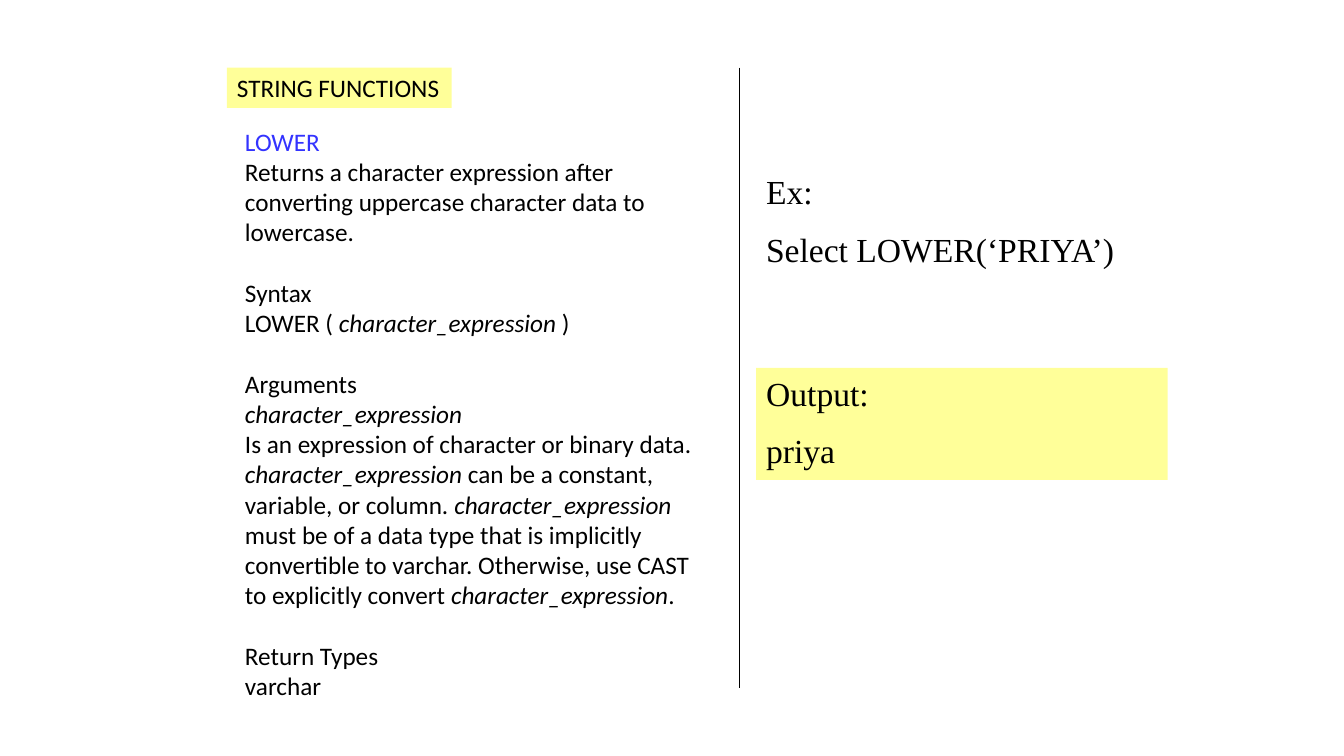
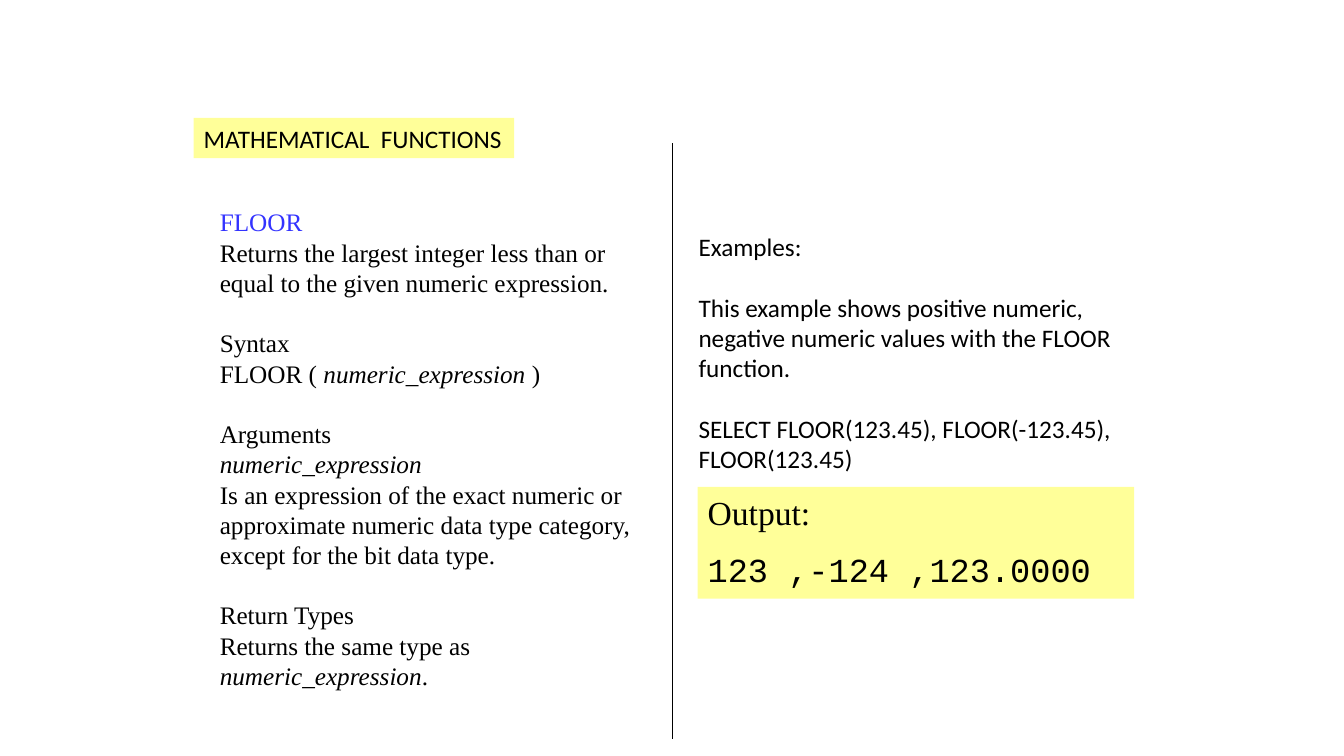
from dataclasses import dataclass

from lxml import etree
from pptx import Presentation
from pptx.dml.color import RGBColor
from pptx.enum.shapes import MSO_CONNECTOR, MSO_SHAPE
from pptx.enum.text import MSO_ANCHOR, MSO_AUTO_SIZE, PP_ALIGN
from pptx.oxml.ns import qn
from pptx.util import Inches, Pt

STRAIGHT = MSO_CONNECTOR.STRAIGHT
RECTANGLE = MSO_SHAPE.RECTANGLE
TOP = MSO_ANCHOR.TOP
LEFT = PP_ALIGN.LEFT
FIXED_SIZE = MSO_AUTO_SIZE.NONE


@dataclass(frozen=True)
class Theme:
    ink: RGBColor = RGBColor(0x00, 0x00, 0x00)
    keyword: RGBColor = RGBColor(0x33, 0x33, 0xFF)
    highlight: RGBColor = RGBColor(0xFF, 0xFF, 0x99)
    sans: str = "Calibri"
    serif: str = "Times New Roman"
    mono: str = "Courier New"
    text_size: float = 18
    example_size: float = 24
    leading: float = 1.2
    rule_width: float = 0.75


class ReferenceDeck:
    """Holds the theme, the presentation and the current page."""

    def __init__(self, theme):
        self.theme = theme
        self.deck = Presentation()
        self.deck.slide_width = Inches(13.33)
        self.deck.slide_height = Inches(7.5)
        self.page = None

    def new_page(self):
        self.page = self.deck.slides.add_slide(self.deck.slide_layouts[1])

    # Shared text formatting
    def prepare(self, box, wrap=True):
        frame = box.text_frame
        frame.word_wrap = wrap
        frame.auto_size = FIXED_SIZE
        frame.vertical_anchor = TOP
        return frame

    def place(self, box, left, top, width, height):
        box.left, box.top = Inches(left), Inches(top)
        box.width, box.height = Inches(width), Inches(height)

    def fill_highlight(self, box):
        box.fill.solid()
        box.fill.fore_color.rgb = self.theme.highlight

    def set_paragraph(self, para, text, face, size, before=0, color=None):
        """Fill one unbulleted paragraph; *stars* enclose italic spans."""
        properties = para._p.get_or_add_pPr()
        properties.set("marL", "0")
        properties.set("indent", "0")
        etree.SubElement(properties, qn("a:buNone"))
        para.alignment = LEFT
        para.line_spacing = Pt(size * self.theme.leading)
        para.space_before = Pt(before)
        para.font.name = face
        para.font.size = Pt(size)
        para.font.color.rgb = color or self.theme.ink
        for index, part in enumerate(text.split("*")):
            if part:
                span = para.add_run()
                span.text = part
                if index % 2:
                    span.font.italic = True

    def set_sections(self, box, sections, face, first_color=None):
        """Fill a box with paragraph groups, one line of space between them."""
        frame = self.prepare(box)
        size = self.theme.text_size
        para = frame.paragraphs[0]
        for number, section in enumerate(sections):
            for row, text in enumerate(section):
                first = number == 0 and row == 0
                if not first:
                    para = frame.add_paragraph()
                gap = size * self.theme.leading if number and row == 0 else 0
                self.set_paragraph(para, text, face, size, gap,
                                   first_color if first else None)

    def set_spaced_lines(self, box, lines):
        """Fill a box with large (text, face) lines, half a line apart."""
        frame = self.prepare(box)
        size = self.theme.example_size
        for row, (text, face) in enumerate(lines):
            para = frame.add_paragraph() if row else frame.paragraphs[0]
            self.set_paragraph(para, text, face, size, size / 2 if row else 0)

    # Page elements
    def title(self, text, left, top, width):
        box = self.page.shapes.title
        self.place(box, left, top, width, 0.4)
        self.fill_highlight(box)
        frame = self.prepare(box, wrap=False)
        self.set_paragraph(frame.paragraphs[0], text, self.theme.sans,
                           self.theme.text_size)

    def description(self, sections, face, *area):
        box = self.page.placeholders[1]
        self.place(box, *area)
        self.set_sections(box, sections, face, self.theme.keyword)

    def divider(self, x, top, bottom):
        rule = self.page.shapes.add_connector(
            STRAIGHT, Inches(x), Inches(top), Inches(x), Inches(bottom))
        rule.line.color.rgb = self.theme.ink
        rule.line.width = Pt(self.theme.rule_width)
        etree.SubElement(rule._element.spPr, qn("a:effectLst"))

    def text_box(self, *area):
        return self.page.shapes.add_textbox(*map(Inches, area))

    def output(self, result, face, left, top, width):
        box = self.page.shapes.add_shape(
            RECTANGLE, Inches(left), Inches(top), Inches(width), Inches(1.11))
        box.shadow.inherit = False
        self.fill_highlight(box)
        box.line.fill.background()
        self.set_spaced_lines(
            box, [("Output:", self.theme.serif), (result, face)])


LOWER_SECTIONS = [
    ["LOWER",
     "Returns a character expression after converting uppercase character "
     "data to lowercase."],
    ["Syntax", "LOWER ( *character_expression *)"],
    ["Arguments", "*character_expression*",
     "Is an expression of character or binary data. *character_expression *"
     "can be a constant, variable, or column. *character_expression* must be "
     "of a data type that is implicitly convertible to varchar. Otherwise, "
     "use CAST to explicitly convert *character_expression*."],
    ["Return Types", "varchar"],
]

FLOOR_SECTIONS = [
    ["FLOOR",
     "Returns the largest integer less than or equal to the given numeric "
     "expression."],
    ["Syntax", "FLOOR ( *numeric_expression *)"],
    ["Arguments", "*numeric_expression*",
     "Is an expression of the exact numeric or approximate numeric data type "
     "category, except for the bit data type."],
    ["Return Types", "Returns the same type as *numeric_expression*."],
]

FLOOR_EXAMPLES = [
    ["Examples:"],
    ["This example shows positive numeric, negative numeric values with the "
     "FLOOR function."],
    ["SELECT FLOOR(123.45), FLOOR(-123.45), FLOOR(123.45)"],
]


def main():
    theme = Theme()
    guide = ReferenceDeck(theme)

    # String functions: LOWER
    guide.new_page()
    guide.title("STRING FUNCTIONS", 2.25, 0.67, 2.23)
    guide.description(LOWER_SECTIONS, theme.sans, 2.33, 1.2, 4.83, 6.16)
    guide.divider(7.33, 0.67, 6.83)
    guide.set_spaced_lines(guide.text_box(7.5, 1.65, 4, 1.11),
                           [("Ex:", theme.serif),
                            ("Select LOWER(‘PRIYA’)", theme.serif)])
    guide.output("priya", theme.serif, 7.5, 3.65, 4.08)

    # Mathematical functions: FLOOR
    guide.new_page()
    guide.title("MATHEMATICAL  FUNCTIONS", 1.92, 1.17, 3.18)
    guide.description(FLOOR_SECTIONS, theme.serif, 2.08, 2, 4.58, 5.25)
    guide.divider(6.67, 1.42, 7.33)
    guide.set_sections(guide.text_box(6.83, 2.25, 4.5, 2.5),
                       FLOOR_EXAMPLES, theme.sans)
    guide.output("123 ,-124 ,123.0000", theme.mono, 6.92, 4.83, 4.33)

    guide.deck.save("out.pptx")


if __name__ == "__main__":
    main()
